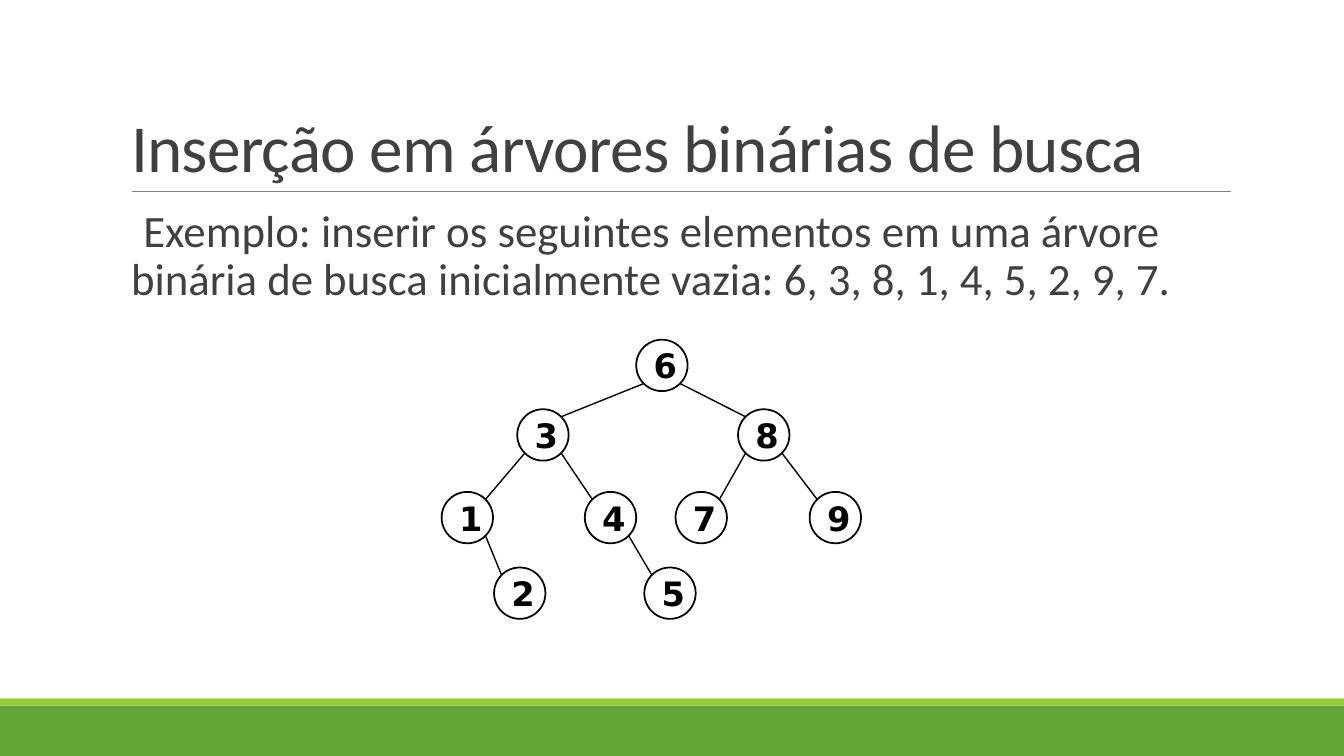
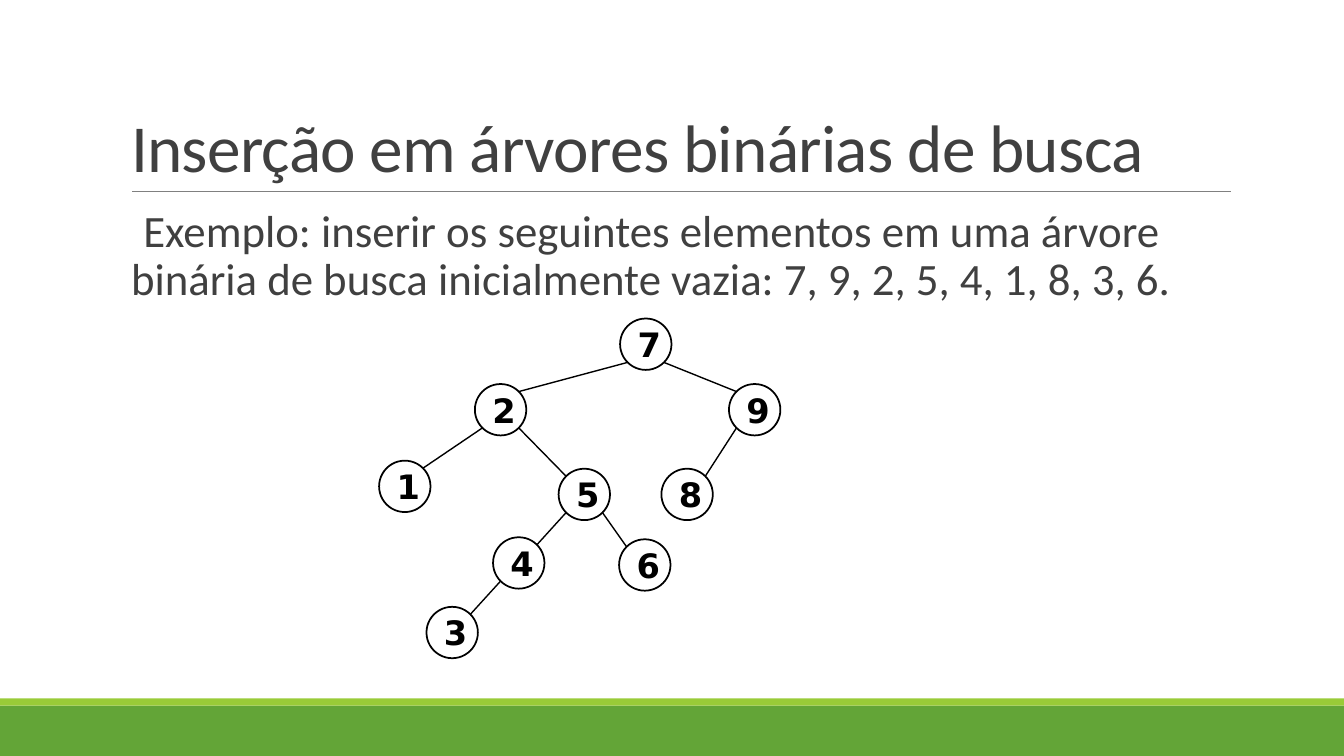
import math

from lxml import etree
from pptx import Presentation
from pptx.dml.color import RGBColor
from pptx.enum import shapes, text
from pptx.oxml import ns
from pptx.util import Inches, Pt

TITLE = "Inserção em árvores binárias de busca"
EXAMPLE = ("Exemplo: inserir os seguintes elementos em uma árvore binária "
           "de busca inicialmente vazia: {}.")

# Each tree: key -> left and top of its node, in order of insertion
TREES = [
    {6: (6.31, 3.37), 3: (5.13, 4.06), 8: (7.32, 4.06),
     1: (4.38, 4.88), 4: (5.8, 4.88), 5: (6.39, 5.63),
     2: (4.9, 5.63), 9: (8.03, 4.88), 7: (6.7, 4.88)},
    {7: (6.15, 3.16), 9: (7.23, 3.81), 2: (4.71, 3.81),
     5: (5.54, 4.65), 4: (4.89, 5.33), 1: (3.76, 4.57),
     8: (6.56, 4.65), 3: (4.23, 6.02), 6: (6.14, 5.35)},
]


def color(hex_string):
    return RGBColor.from_string(hex_string)


def find_parent(key, inserted):
    """Return the latest inserted neighbour of key, None for the root."""
    smaller = [other for other in inserted if other < key]
    larger = [other for other in inserted if other > key]
    neighbours = [max(smaller, default=None), min(larger, default=None)]
    return max((other for other in neighbours if other is not None),
               key=inserted.index, default=None)


class Deck:
    GREEN, LIME, GRAY = "63A537", "99CB38", "808080"
    INK, BLACK, WHITE = "404040", "000000", "FFFFFF"
    BODY_FONT, NODE_FONT = "Calibri", "DejaVu Sans"
    WIDTH, HEIGHT = 13.33, 7.5
    NODE_SIZE = 0.51

    def __init__(self):
        self.presentation = Presentation()
        self.presentation.slide_width = Inches(self.WIDTH)
        self.presentation.slide_height = Inches(self.HEIGHT)
        self.slide = None

    def add_slide(self, title):
        layout = self.presentation.slide_layouts.get_by_name("Title Only")
        self.slide = self.presentation.slides.add_slide(layout)
        # Bottom bands and rule under the title
        self.band(7, 0.5, self.GREEN)
        self.band(6.93, 0.07, self.LIME)
        self.line((1.31, 1.9), (12.21, 1.9), self.GRAY, 0.5)
        self.title(title)

    def style(self, paragraph, font, size, font_color, bold=False):
        paragraph.font.name = font
        paragraph.font.size = Pt(size)
        paragraph.font.bold = bold
        paragraph.font.color.rgb = color(font_color)

    def title(self, words):
        shape = self.slide.shapes.title
        shape.left, shape.top = Inches(1.2), Inches(0.31)
        shape.width, shape.height = Inches(11), Inches(1.59)
        frame = shape.text_frame
        frame.text = words
        frame.auto_size = text.MSO_AUTO_SIZE.NONE
        frame.vertical_anchor = text.MSO_ANCHOR.BOTTOM
        paragraph = frame.paragraphs[0]
        paragraph.alignment = text.PP_ALIGN.LEFT
        paragraph.line_spacing = 0.85
        self.style(paragraph, self.BODY_FONT, 48, self.INK)
        # Letter spacing, in hundredths of a point
        paragraph.runs[0].font._element.set("spc", "-50")

    def body(self, words):
        shape = self.slide.shapes.add_textbox(
            Inches(1.2), Inches(2.02), Inches(11), Inches(4.4))
        frame = shape.text_frame
        frame.word_wrap = True
        frame.margin_left = frame.margin_right = 0
        frame.text = words
        paragraph = frame.paragraphs[0]
        paragraph.line_spacing = 0.9
        paragraph.space_before, paragraph.space_after = Pt(12), Pt(2)
        # Blank bullet with a hanging indent
        properties = paragraph._p.get_or_add_pPr()
        properties.set("marL", str(Inches(0.1)))
        properties.set("indent", str(Inches(-0.1)))
        bullet_color = etree.SubElement(properties, ns.qn("a:buClr"))
        etree.SubElement(bullet_color, ns.qn("a:srgbClr"), val=self.LIME)
        etree.SubElement(properties, ns.qn("a:buChar"), char=" ")
        self.style(paragraph, self.BODY_FONT, 32, self.INK)

    def shape(self, kind, left, top, width, height, fill):
        shape = self.slide.shapes.add_shape(
            kind, Inches(left), Inches(top), Inches(width), Inches(height))
        shape.shadow.inherit = False
        shape.fill.solid()
        shape.fill.fore_color.rgb = color(fill)
        return shape

    def band(self, top, height, fill):
        band = self.shape(shapes.MSO_SHAPE.RECTANGLE, 0, top, self.WIDTH, height, fill)
        band.line.fill.background()

    def line(self, start, end, line_color, width):
        connector = self.slide.shapes.add_connector(
            shapes.MSO_CONNECTOR.STRAIGHT,
            *(Inches(value) for value in (*start, *end)))
        connector.line.color.rgb = color(line_color)
        connector.line.width = Pt(width)
        etree.SubElement(connector._element.spPr, ns.qn("a:effectLst"))

    def node(self, key, left, top):
        node = self.shape(shapes.MSO_SHAPE.OVAL, left, top,
                          self.NODE_SIZE, self.NODE_SIZE, self.WHITE)
        node.line.color.rgb = color(self.BLACK)
        node.line.width = Pt(1.25)
        frame = node.text_frame
        frame.text = str(key)
        frame.vertical_anchor = text.MSO_ANCHOR.MIDDLE
        paragraph = frame.paragraphs[0]
        paragraph.alignment = text.PP_ALIGN.CENTER
        self.style(paragraph, self.NODE_FONT, 24, self.BLACK, bold=True)

    def edge(self, parent, child, side):
        """Join the lower diagonal of parent to the upper one of child."""
        radius = self.NODE_SIZE / 2
        reach = radius * math.sqrt(0.5)
        start = (parent[0] + radius + side * reach, parent[1] + radius + reach)
        end = (child[0] + radius - side * reach, child[1] + radius - reach)
        self.line(start, end, self.BLACK, 1)

    def tree(self, nodes):
        inserted = []
        for key, place in nodes.items():
            self.node(key, *place)
            parent = find_parent(key, inserted)
            if parent is not None:
                self.edge(nodes[parent], place, 1 if key > parent else -1)
            inserted.append(key)


def main():
    deck = Deck()
    for nodes in TREES:
        deck.add_slide(TITLE)
        deck.body(EXAMPLE.format(", ".join(map(str, nodes))))
        deck.tree(nodes)
    deck.presentation.save("out.pptx")


if __name__ == "__main__":
    main()
